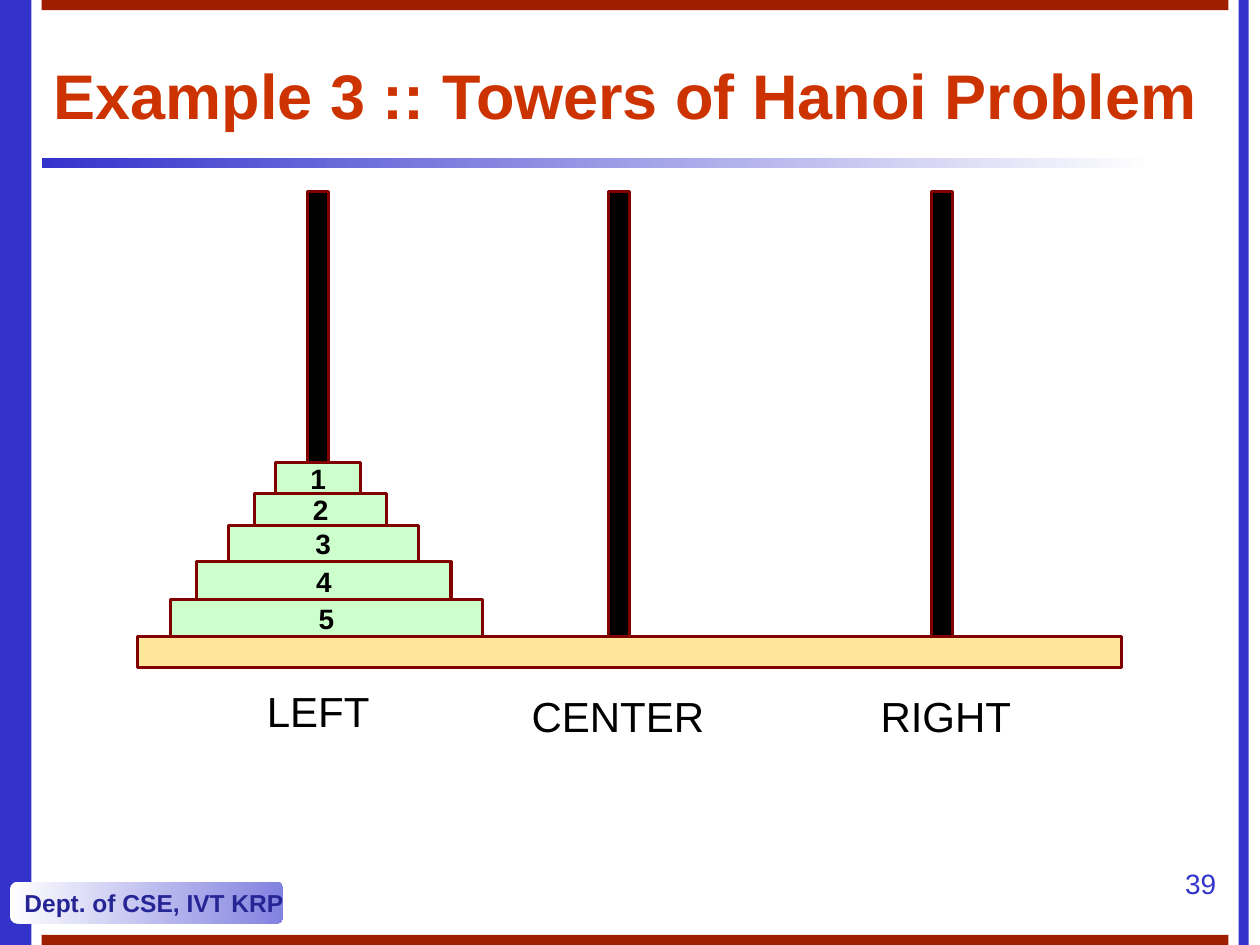
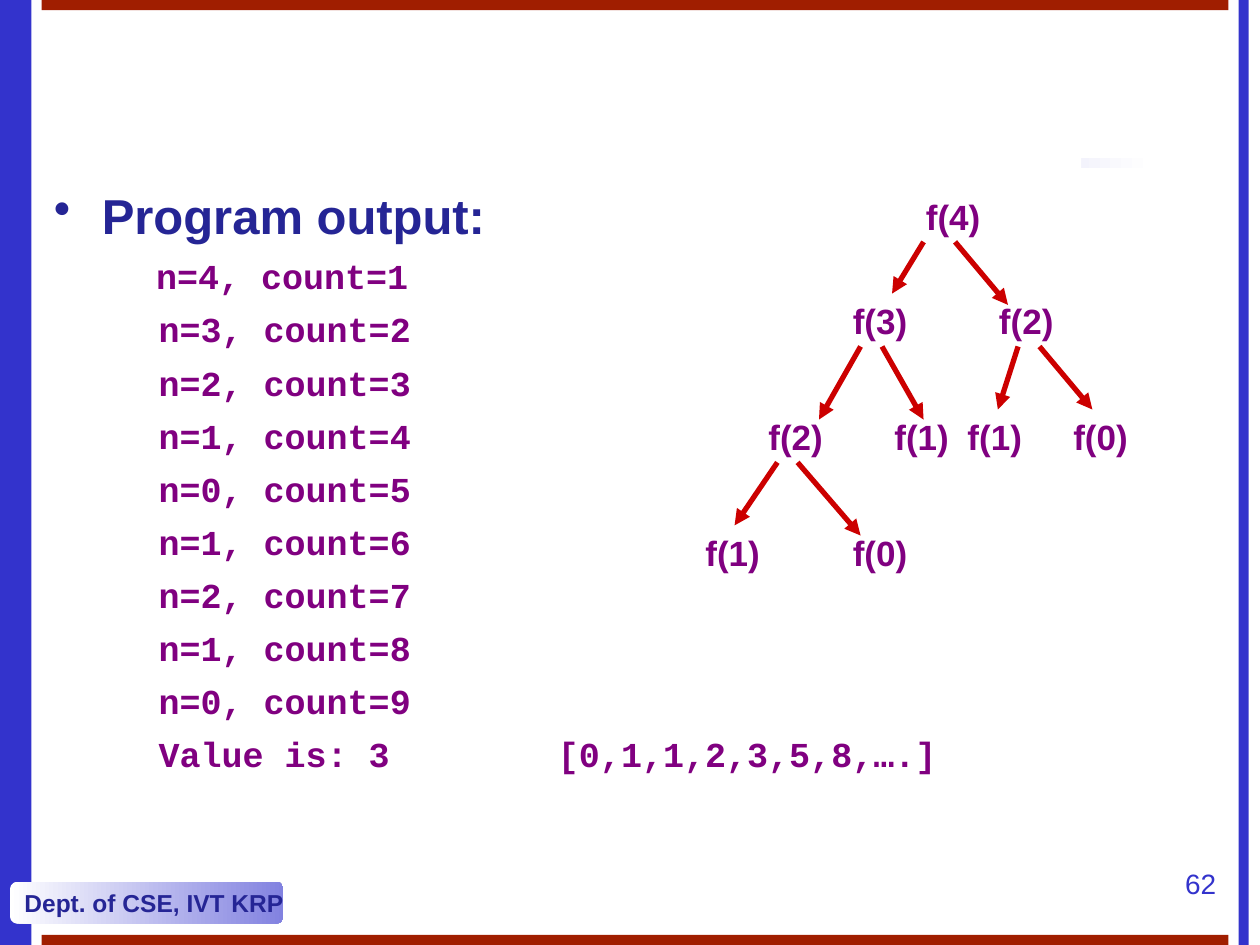
"""Build two lecture slides on recursion: Towers of Hanoi and a Fibonacci call tree."""
from dataclasses import dataclass

from lxml import etree
from pptx import Presentation
from pptx.dml.color import RGBColor
from pptx.enum.shapes import MSO_CONNECTOR, MSO_SHAPE
from pptx.enum.text import MSO_ANCHOR, PP_ALIGN
from pptx.oxml.ns import qn
from pptx.util import Inches, Pt

RECT = MSO_SHAPE.RECTANGLE
ROUND = MSO_SHAPE.ROUNDED_RECTANGLE
STRAIGHT = MSO_CONNECTOR.STRAIGHT
MIDDLE = MSO_ANCHOR.MIDDLE
LEFT, CENTER, RIGHT = PP_ALIGN.LEFT, PP_ALIGN.CENTER, PP_ALIGN.RIGHT


@dataclass(frozen=True)
class Theme:
    blue: str = "3333CC"
    navy: str = "252595"
    lilac: str = "8282E0"
    brick: str = "A01E00"
    title: str = "CC3300"
    maroon: str = "800000"
    purple: str = "800080"
    red: str = "CC0000"
    green: str = "CCFFCC"
    sand: str = "FFE699"
    black: str = "000000"
    white: str = "FFFFFF"
    sans: str = "Arial"
    mono: str = "Courier New"
    title_size: int = 36
    head_size: int = 28
    label_size: int = 24
    code_size: int = 20
    small_size: int = 16
    footer_size: int = 14


T = Theme()


def add_box(s, at, fill=None, line=None, kind=RECT):
    at = [Inches(v) for v in at]
    if fill is None:
        sp = s.shapes.add_textbox(*at)
        sp.text_frame.word_wrap = True
        return sp
    sp = s.shapes.add_shape(kind, *at)
    sp.shadow.inherit = False
    if isinstance(fill, tuple):
        sp.fill.gradient()
        sp.fill.gradient_angle = 0
        for stop, color in zip(sp.fill.gradient_stops, fill):
            stop.color.rgb = RGBColor.from_string(color)
    else:
        sp.fill.solid()
        sp.fill.fore_color.rgb = RGBColor.from_string(fill)
    if line:
        sp.line.color.rgb = RGBColor.from_string(line)
        sp.line.width = Pt(1.75)
    else:
        sp.line.fill.background()
    sp.text_frame.word_wrap = False
    return sp


def write(p, text, size, color, bold=False, align=LEFT, font=T.sans):
    p.add_run().text = text
    p.alignment = align
    p.font.name = font
    p.font.size = Pt(size)
    p.font.bold = bold
    p.font.color.rgb = RGBColor.from_string(color)


prs = Presentation()
prs.slide_width, prs.slide_height = Inches(10), Inches(7.5)
slides = []
for number in ("39", "62"):
    s = prs.slides.add_slide(prs.slide_layouts[6])
    slides.append(s)
    add_box(s, (0, 0, 0.25, 7.5), T.blue)
    add_box(s, (0.33, 1.25, 8.83, 0.08), (T.blue, T.white))
    badge = add_box(s, (0.08, 7, 2.17, 0.33), (T.white, T.lilac), kind=ROUND)
    write(badge.text_frame.paragraphs[0], "Dept. of CSE, IVT KRP",
          T.footer_size, T.navy, bold=True)
    add_box(s, (9.83, 0, 0.08, 7.5), T.blue)
    for top in (0, 7.42):
        add_box(s, (0.33, top, 9.42, 0.08), T.brick)
    page = add_box(s, (9.17, 6.83, 0.58, 0.5))
    write(page.text_frame.paragraphs[0], number, T.small_size, T.blue, align=RIGHT)

hanoi, fib = slides

title = add_box(hanoi, (0.33, 0.33, 9.42, 0.83))
title.text_frame.vertical_anchor = MIDDLE
write(title.text_frame.paragraphs[0], "Example 3 :: Towers of Hanoi Problem",
      T.title_size, T.title, bold=True)

for left in (2.44, 4.83, 7.39):
    add_box(hanoi, (left, 1.52, 0.17, 3.53), T.black, T.maroon)
base_top = 5.05
add_box(hanoi, (1.09, base_top, 7.81, 0.25), T.sand, T.maroon)

disks = [
    ("5", 1.35, 2.48, 0.29),
    ("4", 1.56, 2.02, 0.3),
    ("3", 1.81, 1.51, 0.29),
    ("2", 2.02, 1.05, 0.25),
    ("1", 2.19, 0.67, 0.25),
]
disk_top = base_top
for number, left, width, height in disks:
    disk_top -= height
    disk = add_box(hanoi, (left, disk_top, width, height), T.green, T.maroon)
    write(disk.text_frame.paragraphs[0], number, T.small_size, T.black,
          bold=True, align=CENTER)

for name, left, top, width in (("LEFT", 2.02, 5.39, 1.05),
                               ("CENTER", 4.12, 5.43, 2.02),
                               ("RIGHT", 6.89, 5.43, 1.43)):
    label = add_box(hanoi, (left, top, width, 0.5))
    write(label.text_frame.paragraphs[0], name, T.label_size, T.black)

tf = add_box(fib, (0.33, 1.42, 9.42, 5.5)).text_frame
p = tf.paragraphs[0]
write(p, "Program output:", T.head_size, T.navy, bold=True)
pPr = p._p.get_or_add_pPr()
pPr.set("marL", str(Inches(0.38)))
pPr.set("indent", str(Inches(-0.38)))
bullet = etree.Element(qn("a:buChar"))
bullet.set("char", "•")
pPr.insert(0, bullet)

calls = [4, 3, 2, 1, 0, 1, 2, 1, 0]
output = [f"n={n}, count={count}" for count, n in enumerate(calls, 1)]
output.append("Value is: 3\t[0,1,1,2,3,5,8,….]")
for i, text in enumerate(output):
    p = tf.add_paragraph()
    write(p, "\t" + text, T.code_size, T.purple, bold=True, font=T.mono)
    tabs = etree.Element(qn("a:tabLst"))
    for stop in (0.81 if i == 0 else 0.83, 4):
        tab = etree.SubElement(tabs, qn("a:tab"))
        tab.set("pos", str(Inches(stop)))
        tab.set("algn", "l")
    p._p.get_or_add_pPr().insert(0, tabs)
    p.space_before = Pt(6.3)

nodes = [
    ("f(4)", 7.25, 1.5),
    ("f(3)", 6.67, 2.33), ("f(2)", 7.83, 2.33),
    ("f(2)", 6, 3.25), ("f(1)", 7, 3.25), ("f(1)", 7.58, 3.25), ("f(0)", 8.42, 3.25),
    ("f(1)", 5.5, 4.17), ("f(0)", 6.67, 4.17),
]
for call, left, top in nodes:
    node = add_box(fib, (left, top, 0.75, 0.44))
    write(node.text_frame.paragraphs[0], call, T.code_size, T.purple, bold=True)

arrows = [
    (7.33, 1.92, 7.08, 2.33), (7.58, 1.92, 8, 2.42),
    (6.83, 2.75, 6.5, 3.33), (7, 2.75, 7.33, 3.33),
    (8.08, 2.75, 7.92, 3.25), (8.25, 2.75, 8.67, 3.25),
    (6.17, 3.67, 5.83, 4.17), (6.33, 3.67, 6.83, 4.25),
]
for ends in arrows:
    arrow = fib.shapes.add_connector(STRAIGHT, *[Inches(v) for v in ends])
    arrow.line.color.rgb = RGBColor.from_string(T.red)
    arrow.line.width = Pt(3)
    etree.SubElement(arrow.line._get_or_add_ln(), qn("a:tailEnd")).set("type", "triangle")
    etree.SubElement(arrow._element.spPr, qn("a:effectLst"))

add_box(fib, (0.33, 1.08, 8.25, 0.37), T.white)

prs.save("out.pptx")
